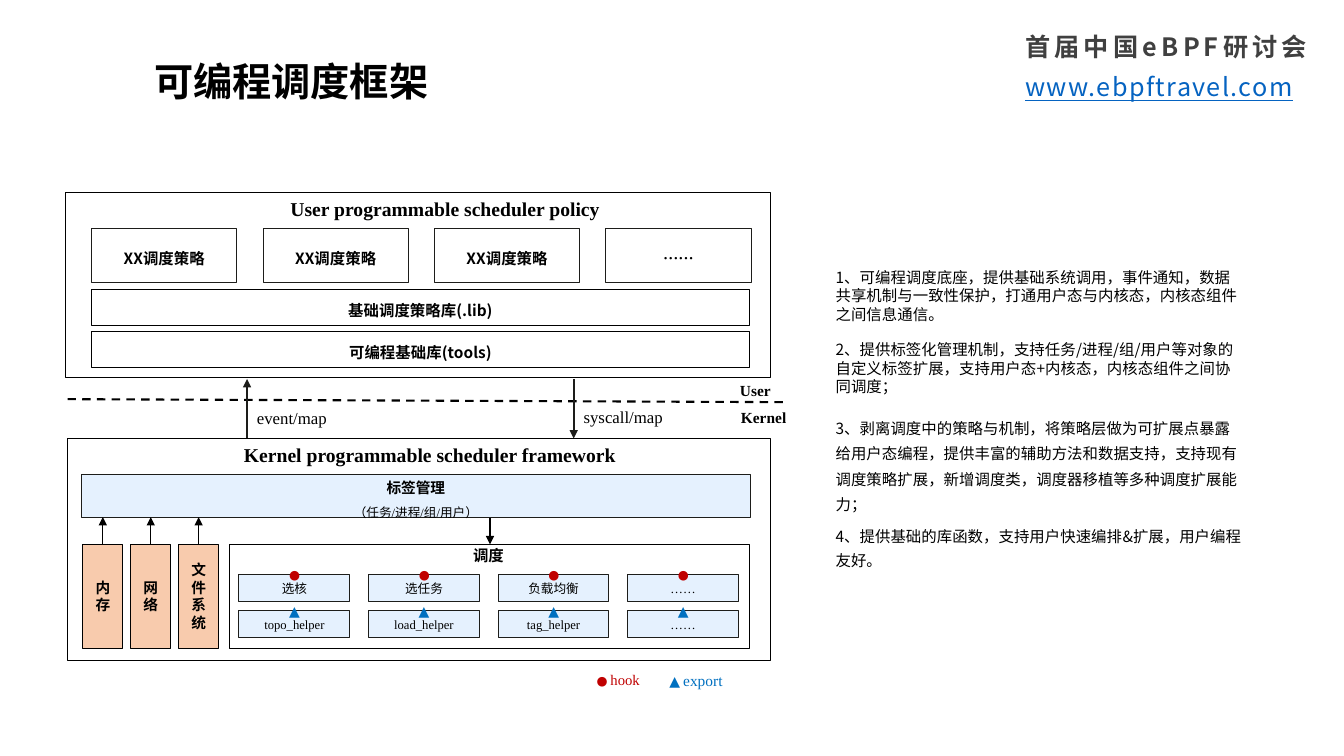
from lxml.etree import SubElement
from pptx import Presentation
from pptx.dml.color import RGBColor
from pptx.enum.dml import MSO_LINE
from pptx.enum.shapes import MSO_CONNECTOR, MSO_SHAPE
from pptx.enum.text import MSO_ANCHOR, MSO_AUTO_SIZE, PP_ALIGN
from pptx.oxml.ns import qn
from pptx.util import Inches, Pt

CJK, SERIF, SYMBOL = "Noto Sans CJK SC", "Times New Roman", "Cabin"
BLACK, EDGE, RED, BLUE = "000000", "1D1D1A", "C00000", "0070C0"
PALE, PEACH = "E5F1FE", "F8CBAD"

TITLE = "可编程调度框架"
POLICIES = ["XX调度策略", "XX调度策略", "XX调度策略", "……"]
LIBRARIES = ["基础调度策略库(.lib)", "可编程基础库(tools)"]
MODULES = ["内存", "网络", "文件系统"]
SCHEDULING = [("选核", "topo_helper"), ("选任务", "load_helper"),
              ("负载均衡", "tag_helper"), ("……", "……")]
TAGS = [("标签管理", 10.5, True), ("（任务/进程/组/用户）", 9, False)]
# text, line spacing, space before, space after (points)
NOTES = [
    ("1、可编程调度底座，提供基础系统调用，事件通知，数据共享机制与一致性保护，"
     "打通用户态与内核态，内核态组件之间信息通信。", None, 0, 6),
    ("2、提供标签化管理机制，支持任务/进程/组/用户等对象的自定义标签扩展，"
     "支持用户态+内核态，内核态组件之间协同调度；", None, 6, 6),
    ("3、剥离调度中的策略与机制，将策略层做为可扩展点暴露给用户态编程，"
     "提供丰富的辅助方法和数据支持，支持现有调度策略扩展，新增调度类，"
     "调度器移植等多种调度扩展能力；", 18, 6, 0),
    ("4、提供基础的库函数，支持用户快速编排&扩展，用户编程友好。", 17, 6, 0),
]
# left, top, width, text, size, bold, centred
LABELS = [
    (2.24, 1.9, 4.35, "User programmable scheduler policy", 14, True, True),
    (1.39, 4.34, 5.75, "Kernel programmable scheduler framework", 14, True, True),
    (2.45, 4, 1.96, "event/map", 12, False, False),
    (5.69, 3.99, 1.87, "syscall/map", 12, False, False),
    (7.24, 3.73, 0.6, "User", 11, True, False),
    (7.25, 4, 0.72, "Kernel", 11, True, False),
]
# left, mark, mark size, word, word size, colour
LEGEND = [(5.82, "● ", 9, "hook", 10.5, RED), (6.54, "▲ ", 10, "export", 11, BLUE)]

prs = Presentation()
prs.slide_width, prs.slide_height = Inches(13.33), Inches(7.5)
s = prs.slides.add_slide(prs.slide_layouts[5])


def rgb(color):
    return RGBColor.from_string(color)


def style(font, size, name, color=BLACK, bold=False, spacing=0):
    font.size, font.bold, font.name = Pt(size), bold, name
    font.color.rgb = rgb(color)
    props = font._element
    if spacing:
        props.set("spc", str(spacing * 100))
    if name != SYMBOL:
        east = SubElement(props, qn("a:ea"), typeface=CJK)
        props.find(qn("a:latin")).addnext(east)


def write(tf, text, size, name, color=BLACK, bold=False, spacing=0, centred=False):
    """Fill the first paragraph, or add one when it is taken."""
    p = tf.add_paragraph() if tf.text else tf.paragraphs[0]
    p.text = text
    p.alignment = PP_ALIGN.CENTER if centred else PP_ALIGN.LEFT
    style(p.font, size, name, color, bold, spacing)
    return p


def text_frame(x, y, w, h=0.3):
    tf = s.shapes.add_textbox(Inches(x), Inches(y), Inches(w), Inches(h)).text_frame
    tf.word_wrap = True
    return tf


def box(x, y, w, h, fill=None, edge=BLACK):
    sp = s.shapes.add_shape(MSO_SHAPE.RECTANGLE, Inches(x), Inches(y), Inches(w), Inches(h))
    sp.shadow.inherit = False
    if fill:
        sp.fill.solid()
        sp.fill.fore_color.rgb = rgb(fill)
    else:
        sp.fill.background()
    sp.line.color.rgb, sp.line.width = rgb(edge), Pt(0.75)
    tf = sp.text_frame
    tf.word_wrap, tf.vertical_anchor = True, MSO_ANCHOR.MIDDLE
    return tf


def line(x1, y1, x2, y2, width, color=BLACK, arrow=True):
    c = s.shapes.add_connector(MSO_CONNECTOR.STRAIGHT, Inches(x1), Inches(y1),
                               Inches(x2), Inches(y2))
    c.line.color.rgb, c.line.width = rgb(color), Pt(width)
    if arrow:
        SubElement(c.line._get_or_add_ln(), qn("a:tailEnd"), type="triangle")
    SubElement(c._element.spPr, qn("a:effectLst"))
    return c


# Title and event heading
title = s.shapes.title
title.left, title.top, title.width, title.height = map(Inches, (1.43, 0.08, 11.5, 1.45))
tf = title.text_frame
tf.auto_size, tf.vertical_anchor = MSO_AUTO_SIZE.NONE, MSO_ANCHOR.MIDDLE
write(tf, TITLE, 28, SERIF, bold=True)
write(text_frame(10.07, 0.26, 3.17, 0.4), "首届中国eBPF研讨会", 18, CJK, "404040", True, 3)
p = write(text_frame(10.07, 0.66, 3.17, 0.4), "www.ebpftravel.com", 18, CJK, "0563C1", spacing=1)
p.font.underline = True

# User layer
box(0.65, 1.91, 6.99, 1.84)
for i, policy in enumerate(POLICIES):
    tf = box(0.91 + 1.7 * i, 2.27, 1.44, 0.53, edge=EDGE)
    tf.margin_top = Inches(0.1)
    write(tf, policy, 11, CJK, bold=True, centred=True)
for i, library in enumerate(LIBRARIES):
    tf = box(0.91, 2.87 + 0.42 * i, 6.52, 0.36)
    tf.margin_top = Inches(0.1)
    write(tf, library, 11, CJK, bold=True, centred=True)

# Boundary between user and kernel
line(0.67, 3.96, 7.82, 3.99, 1.5, arrow=False).line.dash_style = MSO_LINE.DASH
line(2.45, 4.35, 2.45, 3.76, 1.25, EDGE)
line(5.69, 3.76, 5.69, 4.35, 1.25, EDGE)

# Kernel layer
box(0.67, 4.35, 6.97, 2.2)
tf = box(0.81, 4.71, 6.63, 0.42, PALE, EDGE)
for text, size, bold in TAGS:
    write(tf, text, size, SERIF, bold=bold, centred=True).line_spacing = Pt(17)
for i, module in enumerate(MODULES):
    x = 0.82 + 0.475 * i
    tf = box(x, 5.4, 0.4, 1.03, PEACH)
    tf.margin_left = tf.margin_right = Inches(0.09)
    write(tf, module, 10.5, CJK, bold=True, centred=True)
    line(x + 0.2, 5.4, x + 0.2, 5.13, 0.75)

box(2.28, 5.4, 5.15, 1.03)
write(text_frame(2.89, 5.37, 3.91), "调度", 11, CJK, bold=True, centred=True)
line(4.86, 5.14, 4.86, 5.4, 0.75)
for i, (hook, helper) in enumerate(SCHEDULING):
    x = 2.37 + 1.285 * i
    for y, text in ((5.7, hook), (6.06, helper)):
        write(box(x, y, 1.1, 0.27, PALE, EDGE), text, 9, SERIF, centred=True)
    write(text_frame(x + 0.4, 5.58, 0.48), "●", 9, SYMBOL, RED)
    write(text_frame(x + 0.4, 5.93, 0.5), "▲", 10, SYMBOL, BLUE)

for x, y, w, text, size, bold, centred in LABELS:
    write(text_frame(x, y, w), text, size, SERIF, bold=bold, centred=centred)

for x, mark, mark_size, word, word_size, color in LEGEND:
    p = text_frame(x, 6.61, 1.1).paragraphs[0]
    for text, size, name in ((mark, mark_size, SYMBOL), (word, word_size, SERIF)):
        r = p.add_run()
        r.text = text
        style(r.font, size, name, color)

# Explanation on the right
tf = text_frame(8.19, 2.61, 4.23, 3.12)
for text, spacing, before, after in NOTES:
    p = write(tf, text, 11, CJK)
    p.space_before, p.space_after = Pt(before), Pt(after)
    if spacing:
        p.line_spacing = Pt(spacing)

prs.save("out.pptx")
